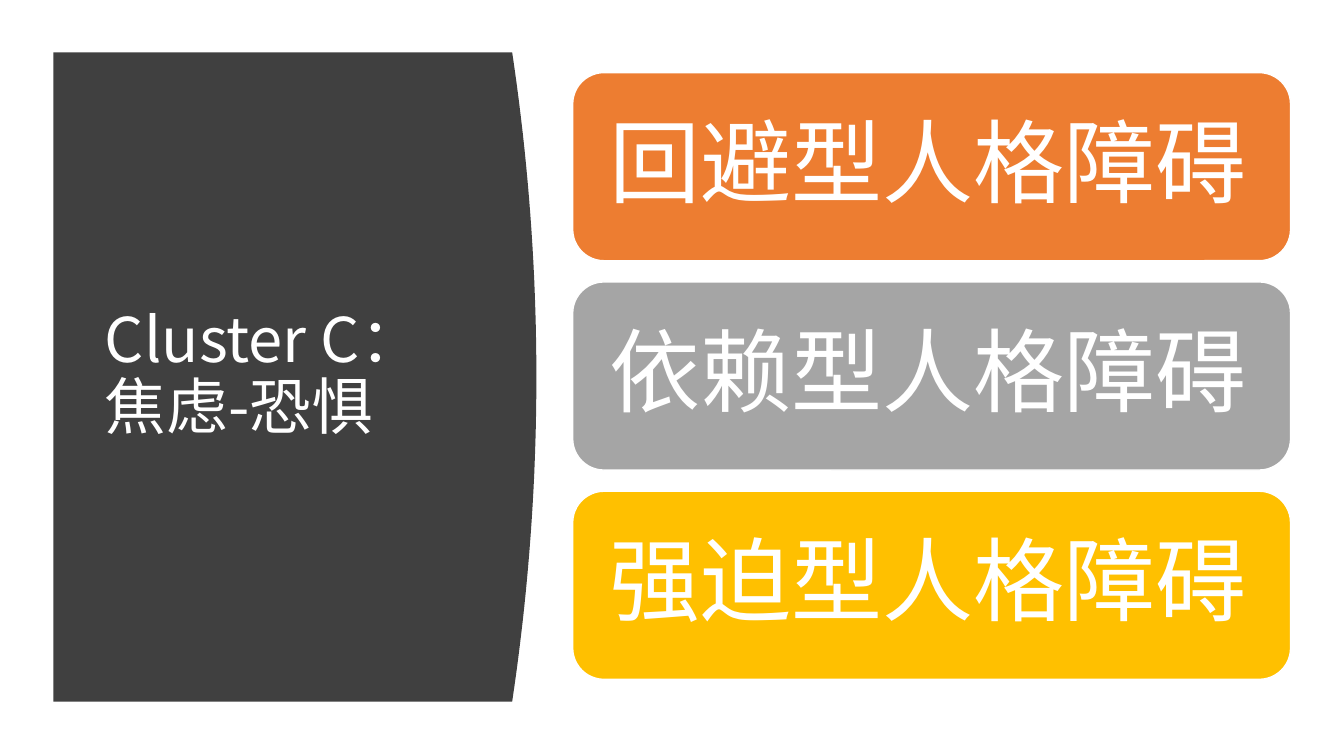
from dataclasses import dataclass

from lxml import etree
from pptx import Presentation
from pptx import util as u
from pptx.dml.color import RGBColor
from pptx.enum import shapes, text
from pptx.oxml.ns import qn


@dataclass(frozen=True)
class Theme:
    """Colours, font and type sizes of the slide."""
    font: str = "Noto Sans CJK SC"
    white: str = "FFFFFF"
    dark: str = "404040"
    cards: tuple = ("ED7D31", "A5A5A5", "FFC000")
    head: int = 44
    body: int = 65


THEME = Theme()


def paint(fill, tone):
    """Give a fill one solid colour."""
    fill.solid()
    fill.fore_color.rgb = RGBColor.from_string(tone)


def write(para, words, size):
    """Add one white run in the theme font, for Latin and Chinese alike."""
    run = para.add_run()
    run.text = words
    run.font.name = THEME.font
    run.font.size = u.Pt(size)
    run.font.color.rgb = RGBColor.from_string(THEME.white)
    props = run.font._element
    east = etree.Element(qn("a:ea"), typeface=THEME.font)
    props.find(qn("a:latin")).addnext(east)


def set_frame(frame, inset_x, inset_y):
    """Centre a text frame upright, set its insets and return its paragraph."""
    frame.word_wrap = True
    frame.auto_size = text.MSO_AUTO_SIZE.NONE
    frame.vertical_anchor = text.MSO_ANCHOR.MIDDLE
    frame.margin_left = frame.margin_right = u.Inches(inset_x)
    frame.margin_top = frame.margin_bottom = u.Inches(inset_y)
    para = frame.paragraphs[0]
    para.alignment = text.PP_ALIGN.LEFT
    para.line_spacing = 0.9
    return para


def add_panel(slide, left, top, width, height, lines):
    """Draw the dark panel with a bowed right edge and set the title on it."""
    bow, steps = 0.24, 40
    edge = []
    for step in range(steps + 1):
        part = step / steps
        x = left + width - bow * (2 * part - 1) ** 2
        edge.append((u.Inches(x), u.Inches(top + height * part)))
    pen = slide.shapes.build_freeform(u.Inches(left), u.Inches(top))
    pen.add_line_segments(edge + [(u.Inches(left), u.Inches(top + height))])
    panel = pen.convert_to_shape()
    panel.shadow.inherit = False
    paint(panel.fill, THEME.dark)
    panel.line.fill.background()

    title = slide.shapes.title
    title.left, title.top = u.Inches(left + 0.41), u.Inches(top + 0.59)
    title.width, title.height = u.Inches(width - 1.05), u.Inches(height - 1.2)
    panel.element.addnext(title.element)
    para = set_frame(title.text_frame, 0.1, 0.05)
    for index, line in enumerate(lines):
        if index:
            para.add_line_break()
        write(para, line, THEME.head)


def add_cards(slide, left, top, width, height, names):
    """Stack one rounded card per name, evenly spaced in the box."""
    gap = 0.21
    tall = (height - gap * (len(names) - 1)) / len(names)
    for index, (name, tone) in enumerate(zip(names, THEME.cards)):
        card = slide.shapes.add_shape(
            shapes.MSO_SHAPE.ROUNDED_RECTANGLE,
            u.Inches(left), u.Inches(top + index * (tall + gap)),
            u.Inches(width), u.Inches(tall))
        card.shadow.inherit = False
        paint(card.fill, tone)
        paint(card.line.fill, THEME.white)
        card.line.width = u.Pt(1)
        para = set_frame(card.text_frame, 0.27, 0.27)
        write(para, name, THEME.body)


def main():
    """Build the slide and save it."""
    deck = Presentation()
    deck.slide_width, deck.slide_height = u.Inches(13.33), u.Inches(7.5)
    slide = deck.slides.add_slide(deck.slide_layouts[5])
    add_panel(slide, 0.53, 0.52, 4.79, 6.44, ["Cluster C：", "焦虑-恐惧"])
    add_cards(slide, 5.68, 0.72, 7.12, 6.02,
              ["回避型人格障碍", "依赖型人格障碍", "强迫型人格障碍"])
    deck.save("out.pptx")


if __name__ == "__main__":
    main()
